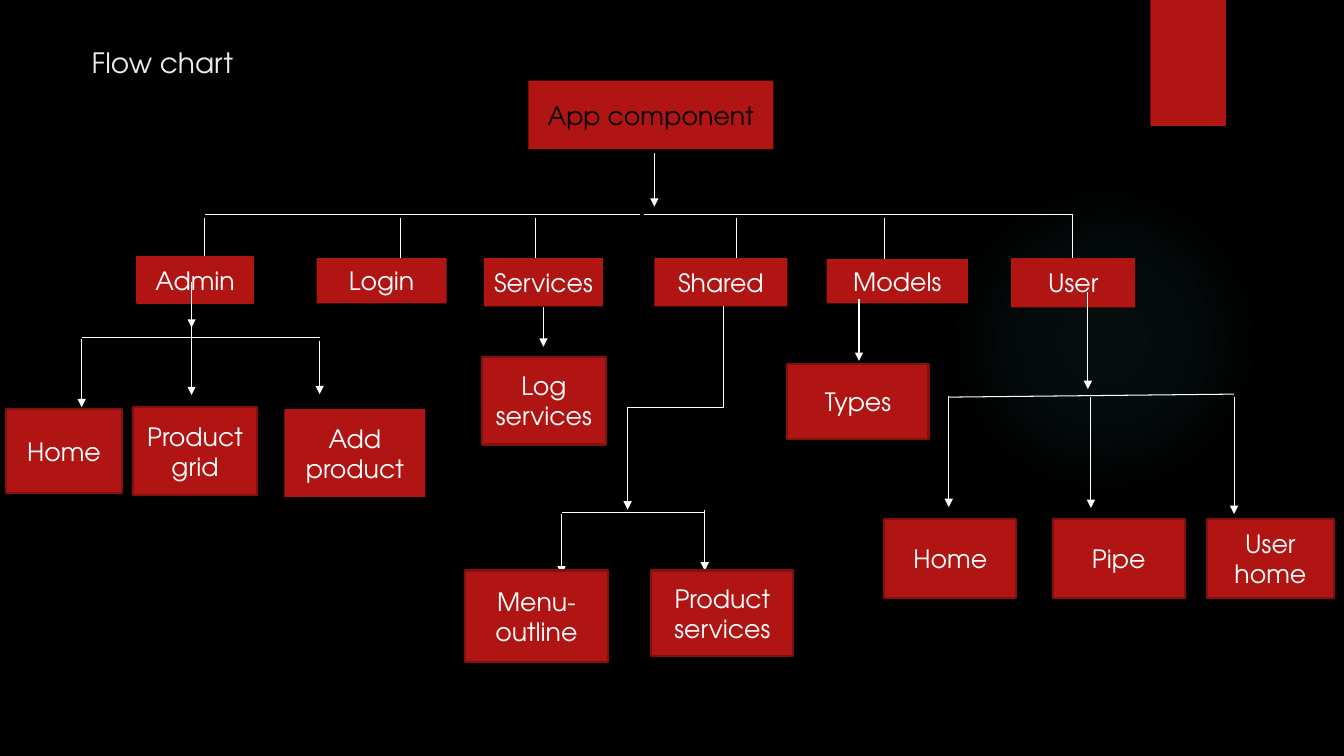
from pptx import Presentation
from pptx.dml.color import RGBColor
from pptx.enum.shapes import MSO_CONNECTOR, MSO_SHAPE
from pptx.enum.text import MSO_ANCHOR, PP_ALIGN
from pptx.oxml import parse_xml
from pptx.oxml.ns import nsdecls, qn
from pptx.util import Inches, Pt

RECTANGLE, ELLIPSE = MSO_SHAPE.RECTANGLE, MSO_SHAPE.OVAL
STRAIGHT, ELBOW = MSO_CONNECTOR.STRAIGHT, MSO_CONNECTOR.ELBOW
TOP, MIDDLE = MSO_ANCHOR.TOP, MSO_ANCHOR.MIDDLE
LEFT, CENTER = PP_ALIGN.LEFT, PP_ALIGN.CENTER
FONT = "TeX Gyre Adventor"
BLACK, WHITE, RED, DARK_RED = "000000", "FFFFFF", "B01513", "82100E"


def paint(fill, colour):
    fill.solid()
    fill.fore_color.rgb = RGBColor.from_string(colour)


def write_text(frame, text, size=18, colour=WHITE, align=CENTER, anchor=MIDDLE, inset=0.05):
    frame.text = text
    frame.word_wrap = True
    frame.vertical_anchor = anchor
    frame.margin_left = frame.margin_right = Inches(inset)
    for paragraph in frame.paragraphs:
        paragraph.alignment = align
        for run in paragraph.runs:
            run.font.name = FONT
            run.font.size = Pt(size)
            paint(run.font.fill, colour)


presentation = Presentation()
presentation.slide_width, presentation.slide_height = Inches(13.33), Inches(7.5)
slide = presentation.slides.add_slide(presentation.slide_layouts[5])
shapes = slide.shapes
paint(slide.background.fill, BLACK)

glow = shapes.add_shape(ELLIPSE, Inches(9.41), Inches(1.83), Inches(3.08), Inches(3.08))
glow.shadow.inherit = False
glow.line.fill.background()
glow.fill.background()
stops = "".join(
    f'<a:gs pos="{position}000"><a:srgbClr val="50B9C1"><a:alpha val="{alpha}000"/></a:srgbClr></a:gs>'
    for position, alpha in [(0, 7), (36, 6), (69, 0)]
)
no_fill = glow.element.spPr.find(qn("a:noFill"))
no_fill.getparent().replace(no_fill, parse_xml(
    f'<a:gradFill {nsdecls("a")}><a:gsLst>{stops}</a:gsLst><a:path path="circle">'
    '<a:fillToRect l="50000" t="50000" r="50000" b="50000"/></a:path></a:gradFill>'
))

ribbon = shapes.add_shape(RECTANGLE, Inches(11.41), 0, Inches(0.75), Inches(1.25))
ribbon.shadow.inherit = False
ribbon.line.fill.background()
paint(ribbon.fill, RED)

title = shapes.title
title.left, title.top, title.width, title.height = Inches(0.81), Inches(0.4), Inches(10.29), Inches(1.53)
write_text(title.text_frame, "Flow chart", size=20, colour="EBEBEB", align=LEFT, anchor=TOP, inset=0.1)

main_lines = [
    (6.49, 1.52, 6.49, 2.05, True),
    (6.39, 2.13, 10.64, 2.13, False),
    (6.35, 2.13, 2.03, 2.13, False),
]
main_lines += [(x, 2.16, x, 2.57, False) for x in (2.03, 3.97, 5.31, 7.3, 8.77)]
main_lines.append((10.64, 2.13, 10.64, 2.59, False))
main_boxes = [
    ("App component", 5.24, 0.8, 2.43, 0.68, None),
    ("Admin", 1.36, 2.55, 1.15, 0.46, RED),
    ("Login", 3.14, 2.56, 1.29, 0.45, None),
    ("Services", 4.8, 2.56, 1.18, 0.48, None),
    ("Shared", 6.49, 2.56, 1.32, 0.48, None),
    ("Models", 8.2, 2.57, 1.4, 0.44, None),
    ("User", 10.03, 2.56, 1.23, 0.49, None),
]
branch_lines = [
    (0.81, 3.35, 3.17, 3.35, False),
    (5.57, 5.08, 6.99, 5.08, False),
    (9.41, 3.94, 12.24, 3.91, False),
]
branch_lines += [(x, start, x, end, True) for x, start, end in [
    (1.9, 2.8, 3.25), (0.81, 3.36, 4.04), (1.9, 3.23, 3.92), (3.17, 3.38, 3.91),
    (5.39, 3.05, 3.44), (5.57, 5.1, 5.7), (6.99, 5.06, 5.66), (8.52, 2.97, 3.58),
    (10.79, 2.9, 3.86), (9.41, 3.93, 5.03), (10.82, 3.94, 5.04), (12.24, 3.94, 5.1),
]]
branch_boxes = [
    ("Home", 0.06, 4.06, 1.15, 0.83, DARK_RED),
    ("Product\ngrid", 1.32, 4.04, 1.23, 0.87, DARK_RED),
    ("Add product", 2.82, 4.06, 1.4, 0.87, None),
    ("Log services", 4.78, 3.54, 1.23, 0.87, DARK_RED),
    ("Menu-outline", 4.61, 5.66, 1.42, 0.91, DARK_RED),
    ("Product services", 6.46, 5.66, 1.41, 0.85, DARK_RED),
    ("Types", 7.81, 3.61, 1.4, 0.75, DARK_RED),
    ("Home", 8.77, 5.15, 1.31, 0.78, DARK_RED),
    ("Pipe", 10.44, 5.15, 1.31, 0.78, DARK_RED),
    ("User home", 11.97, 5.15, 1.26, 0.78, DARK_RED),
]
shared_elbow = (5.69, 3.57, 7.71, 4.52, True)

for lines, boxes in [(main_lines, main_boxes), (branch_lines + [shared_elbow], branch_boxes)]:
    for line in lines:
        *ends, arrow = line
        kind = ELBOW if line == shared_elbow else STRAIGHT
        connector = shapes.add_connector(kind, *map(Inches, ends))
        connector.line.width = Pt(0.75)
        paint(connector.line.fill, WHITE)
        properties = connector.element.spPr
        if arrow:
            properties.find(qn("a:ln")).append(parse_xml(f'<a:tailEnd {nsdecls("a")} type="triangle"/>'))
        if kind == ELBOW:
            properties.find(qn("a:xfrm")).set("rot", "5400000")
        properties.append(parse_xml(f'<a:effectLst {nsdecls("a")}/>'))

    for label, left, top, width, height, outline in boxes:
        box = shapes.add_shape(RECTANGLE, *map(Inches, (left, top, width, height)))
        box.shadow.inherit = False
        paint(box.fill, RED)
        if outline:
            paint(box.line.fill, outline)
            box.line.width = Pt(1.5)
        else:
            box.line.fill.background()
        write_text(box.text_frame, label, colour=BLACK if label == "App component" else WHITE)

presentation.save("out.pptx")
